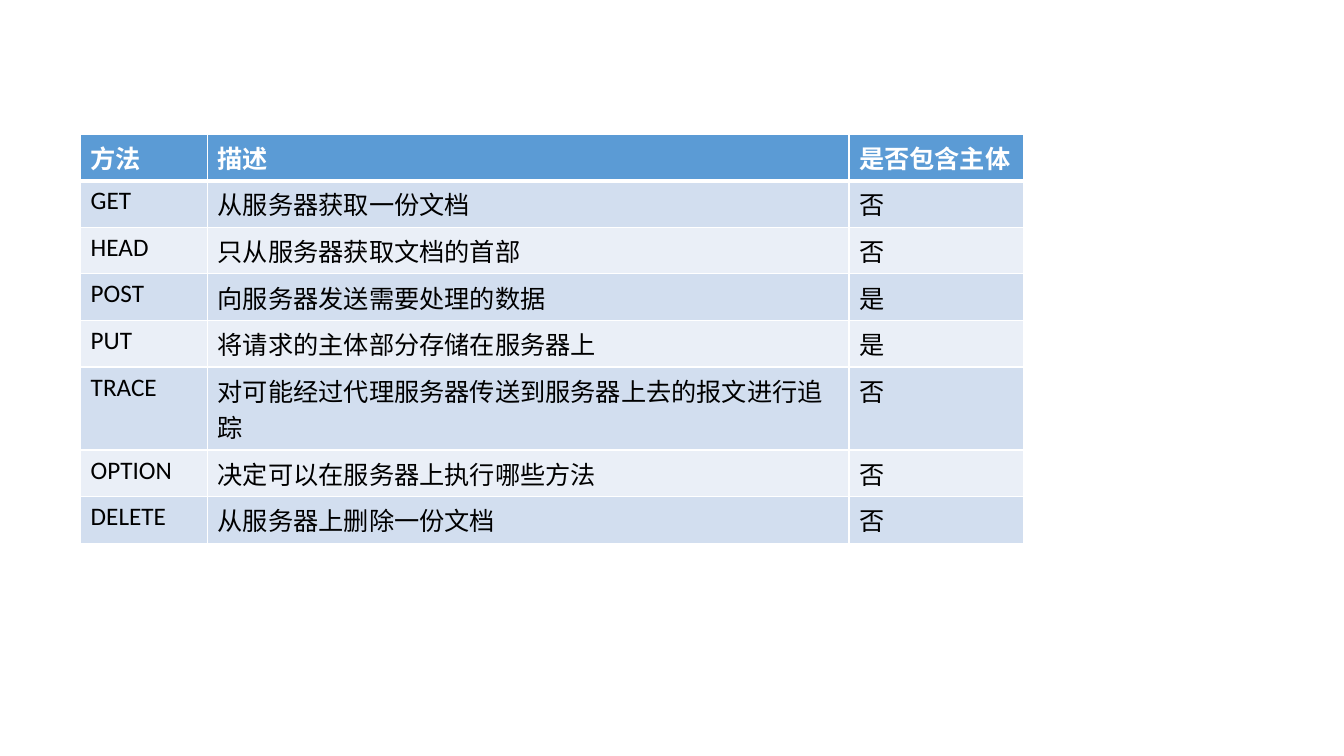
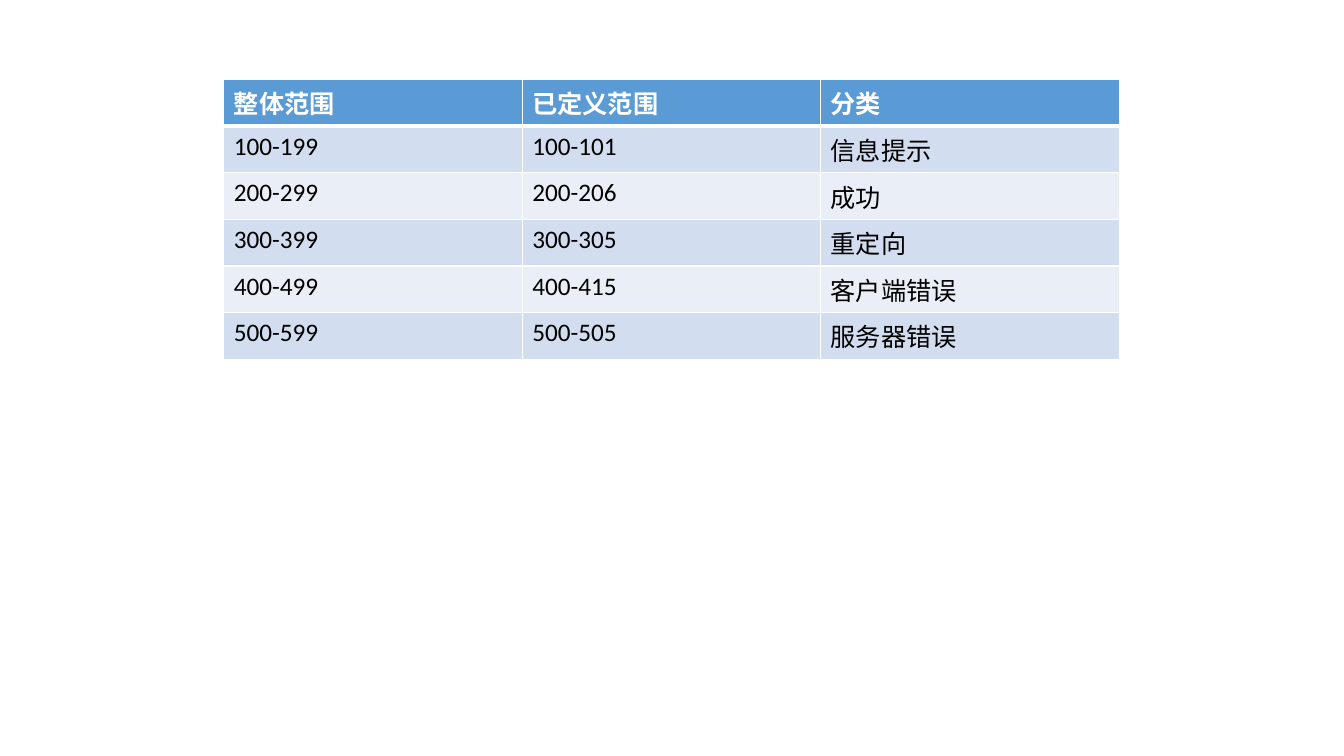
from lxml import etree
from pptx import Presentation
from pptx import util as u
from pptx.dml.color import RGBColor
from pptx.enum import lang
from pptx.oxml import ns

WHITE = RGBColor(0xFF, 0xFF, 0xFF)
BLACK = RGBColor(0x00, 0x00, 0x00)
HEADER_BLUE = RGBColor(0x5B, 0x9B, 0xD5)
BANDS = (RGBColor(0xD2, 0xDE, 0xEF), RGBColor(0xEA, 0xEF, 0xF7))
FONT = "Calibri"
FONT_SIZE = u.Pt(18)
ROW_HEIGHT = u.Inches(0.41)
THIN, THICK = u.Pt(1), u.Pt(3)
BLANK_LAYOUT = 6

METHODS = (
    ("方法", "描述", "是否包含主体"),
    ("GET", "从服务器获取一份文档", "否"),
    ("HEAD", "只从服务器获取文档的首部", "否"),
    ("POST", "向服务器发送需要处理的数据", "是"),
    ("PUT", "将请求的主体部分存储在服务器上", "是"),
    ("TRACE", "对可能经过代理服务器传送到服务器上去的报文进行追踪", "否"),
    ("OPTION", "决定可以在服务器上执行哪些方法", "否"),
    ("DELETE", "从服务器上删除一份文档", "否"),
)
STATUS_CODES = (
    ("整体范围", "已定义范围", "分类"),
    ("100-199", "100-101", "信息提示"),
    ("200-299", "200-206", "成功"),
    ("300-399", "300-305", "重定向"),
    ("400-499", "400-415", "客户端错误"),
    ("500-599", "500-505", "服务器错误"),
)


def set_borders(cell, top, bottom):
    """Draw white borders around a cell, with the given top and bottom widths."""
    properties = cell._tc.get_or_add_tcPr()
    widths = {"lnL": THIN, "lnR": THIN, "lnT": top, "lnB": bottom}
    for position, (side, width) in enumerate(widths.items()):
        line = etree.Element(ns.qn(f"a:{side}"), w=str(int(width)))
        fill = etree.SubElement(line, ns.qn("a:solidFill"))
        etree.SubElement(fill, ns.qn("a:srgbClr"), val=str(WHITE))
        properties.insert(position, line)


def write_cell(cell, content, row_index):
    """Fill and letter one cell as a header or as part of a banded row."""
    is_header = row_index == 0
    cell.fill.solid()
    cell.fill.fore_color.rgb = HEADER_BLUE if is_header else BANDS[(row_index - 1) % 2]
    set_borders(cell, THICK if row_index == 1 else THIN, THICK if is_header else THIN)
    run = cell.text_frame.paragraphs[0].add_run()
    run.text = content
    run.font.name = FONT
    run.font.size = FONT_SIZE
    run.font.bold = is_header
    run.font.color.rgb = WHITE if is_header else BLACK
    run.font.language_id = lang.MSO_LANGUAGE_ID.SIMPLIFIED_CHINESE


def add_table_slide(presentation, rows, box, column_widths):
    """Add a slide holding one table in the box (left, top, width, height)."""
    slide = presentation.slides.add_slide(presentation.slide_layouts[BLANK_LAYOUT])
    left, top, width, height = map(u.Inches, box)
    shape = slide.shapes.add_table(len(rows), len(column_widths), left, top, width, height)
    table = shape.table
    for column, column_width in zip(table.columns, column_widths):
        column.width = u.Inches(column_width)
    for row_index, (row, contents) in enumerate(zip(table.rows, rows)):
        row.height = ROW_HEIGHT
        for cell, content in zip(row.cells, contents):
            write_cell(cell, content, row_index)
    shape.height = height


def main():
    """Build and save the presentation."""
    presentation = Presentation()
    presentation.slide_width = u.Inches(13.33)
    presentation.slide_height = u.Inches(7.5)
    add_table_slide(presentation, METHODS, (0.8, 1.33, 9.34, 3.83), (1.26, 6.36, 1.73))
    add_table_slide(presentation, STATUS_CODES, (2.22, 0.79, 8.89, 2.43), (2.96,) * 3)
    presentation.save("out.pptx")


main()
